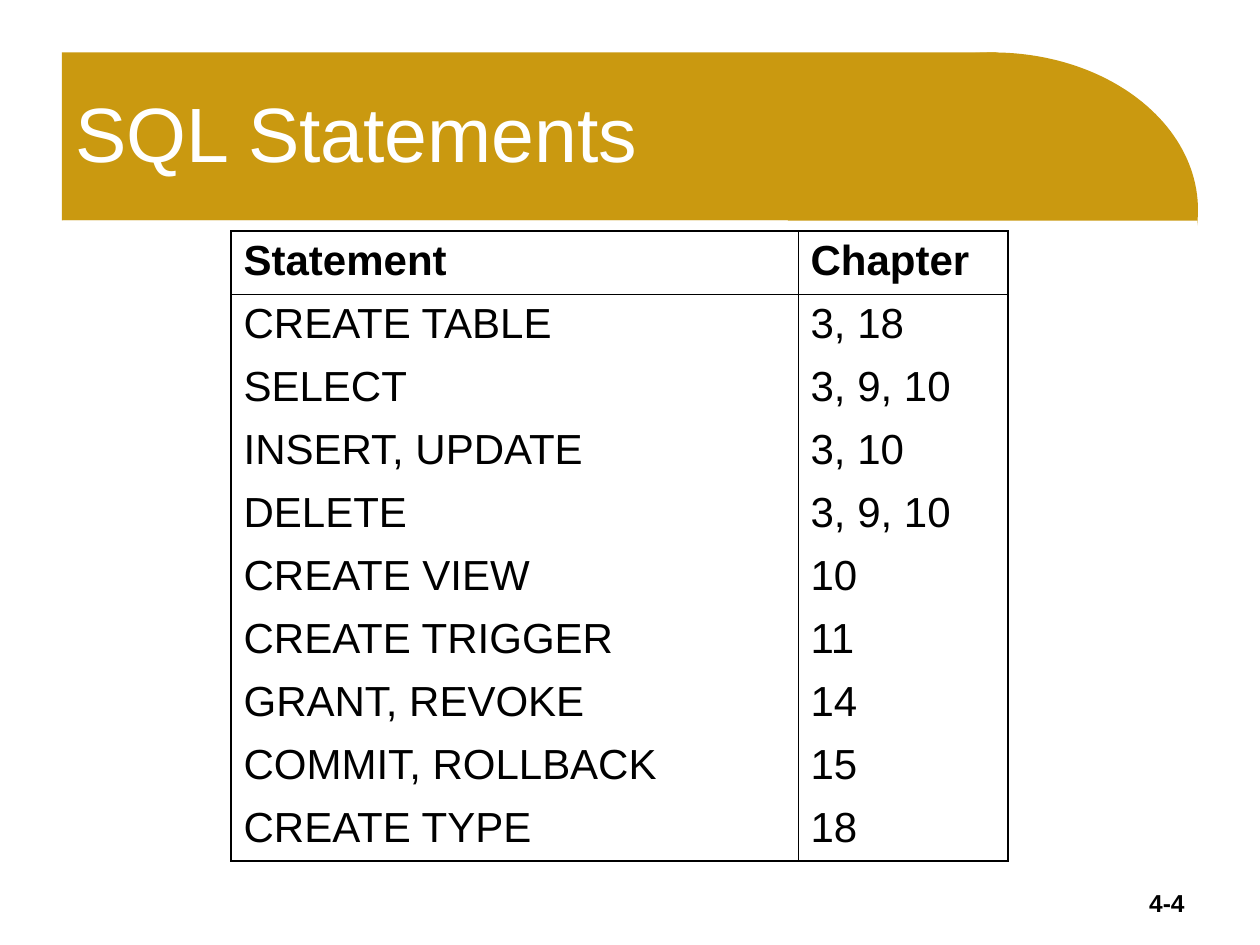
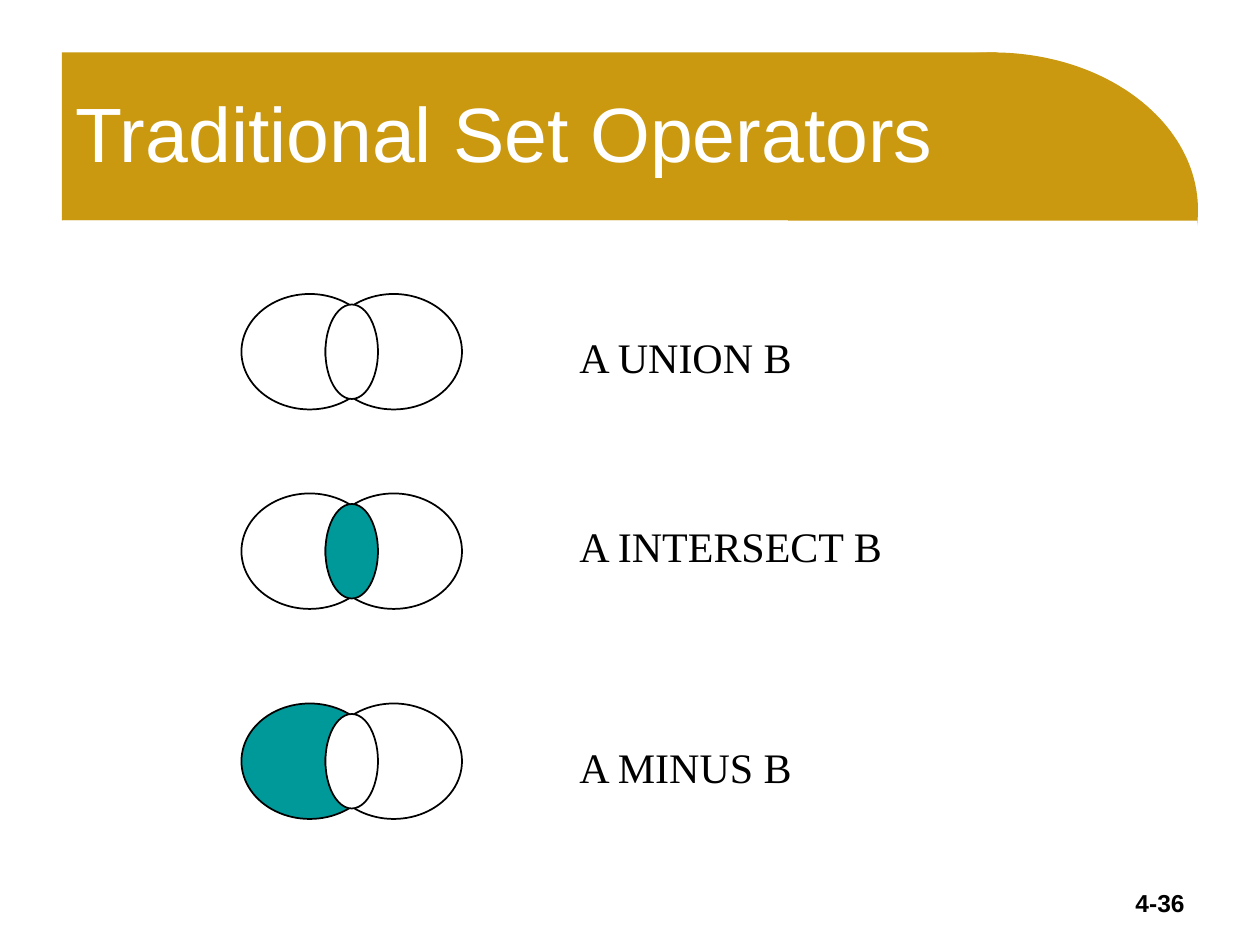
from dataclasses import dataclass

from lxml.etree import SubElement
from pptx import Presentation
from pptx.dml.color import RGBColor
from pptx.enum.shapes import MSO_SHAPE
from pptx.enum.text import MSO_ANCHOR, MSO_AUTO_SIZE, PP_ALIGN
from pptx.oxml.ns import qn
from pptx.util import Emu, Inches, Pt

COLORS = {"gold": "CA9910", "teal": "009999", "white": "FFFFFF", "black": "000000"}
SANS, SERIF = "Arial", "Times New Roman"
UNIT = Inches(1) // 12  # the slide is a grid of 120 columns by 90 rows
OUTER, INNER = 1.08, 0.45  # table border widths in points


@dataclass(frozen=True)
class Box:
    """A place on the grid, in columns and rows."""
    col: float
    row: float
    width: float
    height: float

    def emu(self) -> tuple:
        return tuple(Emu(round(n * UNIT))
                     for n in (self.col, self.row, self.width, self.height))


@dataclass(frozen=True)
class TextStyle:
    size: float
    font: str = SANS
    color: str = "black"
    bold: bool = False


@dataclass(frozen=True)
class SetOperator:
    label: str
    row: int
    label_row: int
    label_width: int
    left: str = "white"
    overlap: str = "white"


TITLE = TextStyle(44, color="white")
PAGE = TextStyle(14, bold=True)
HEADER = TextStyle(24, bold=True)
CELL = TextStyle(24)
LABEL = TextStyle(24, SERIF)

STATEMENTS = [
    ("Statement", "Chapter"),
    ("CREATE TABLE", "3, 18"),
    ("SELECT", "3, 9, 10"),
    ("INSERT, UPDATE", "3, 10"),
    ("DELETE", "3, 9, 10"),
    ("CREATE VIEW", "10"),
    ("CREATE TRIGGER", "11"),
    ("GRANT, REVOKE", "14"),
    ("COMMIT, ROLLBACK", "15"),
    ("CREATE TYPE", "18"),
]

OPERATORS = [
    SetOperator("A UNION B", 28, 31, 25),
    SetOperator("A INTERSECT B", 47, 49, 33, overlap="teal"),
    SetOperator("A MINUS B", 67, 70, 25, left="teal"),
]


def rgb(name: str) -> RGBColor:
    return RGBColor.from_string(COLORS[name])


def write(tf, text: str, style: TextStyle, align=PP_ALIGN.LEFT) -> None:
    p = tf.paragraphs[0]
    p.alignment = align
    r = p.add_run()
    r.text = text
    r.font.size = Pt(style.size)
    r.font.name = style.font
    r.font.bold = style.bold
    r.font.color.rgb = rgb(style.color)


def add_text(s, box: Box, text: str, style: TextStyle, align=PP_ALIGN.LEFT) -> None:
    tf = s.shapes.add_textbox(*box.emu()).text_frame
    tf.word_wrap = True
    tf.auto_size = MSO_AUTO_SIZE.SHAPE_TO_FIT_TEXT
    write(tf, text, style, align)


def add_filled(s, kind, box: Box, fill: str, outlined: bool = False) -> None:
    sp = s.shapes.add_shape(kind, *box.emu())
    sp.shadow.inherit = False
    sp.fill.solid()
    sp.fill.fore_color.rgb = rgb(fill)
    if outlined:
        sp.line.color.rgb = rgb("black")
        sp.line.width = Pt(1)
    else:
        sp.line.fill.background()


def add_slide(prs, title: str, page: str):
    """Add a slide with the gold band, its title and the page number."""
    s = prs.slides.add_slide(prs.slide_layouts[5])
    add_filled(s, MSO_SHAPE.RECTANGLE, Box(5.9, 5, 89, 16), "gold")
    add_filled(s, MSO_SHAPE.OVAL, Box(75, 5, 39.1, 30), "gold")
    add_text(s, Box(85.8, 84, 28.2, 4.08), page, PAGE, PP_ALIGN.RIGHT)
    add_filled(s, MSO_SHAPE.RECTANGLE, Box(6, 21, 108, 62), "white")

    sp = s.shapes.title
    sp.left, sp.top, sp.width, sp.height = Box(6, 5, 105, 15).emu()
    tf = sp.text_frame
    tf.word_wrap = True
    tf.auto_size = MSO_AUTO_SIZE.NONE
    tf.vertical_anchor = MSO_ANCHOR.MIDDLE
    write(tf, title, TITLE)
    sp.element.getparent().append(sp.element)  # in front of the band
    return s


def set_borders(cell, left: float, right: float, top: float, bottom: float) -> None:
    """Set border widths in points; zero means no line."""
    tc_pr = cell._tc.get_or_add_tcPr()
    sides = {"lnL": left, "lnR": right, "lnT": top, "lnB": bottom}
    for i, (tag, width) in enumerate(sides.items()):
        ln = SubElement(tc_pr, qn(f"a:{tag}"), w=str(Pt(width)))
        if width:
            fill = SubElement(ln, qn("a:solidFill"))
            SubElement(fill, qn("a:srgbClr"), val=COLORS["black"])
        else:
            SubElement(ln, qn("a:noFill"))
        tc_pr.insert(i, ln)


def add_statement_table(s) -> None:
    last = len(STATEMENTS) - 1
    box = Box(22, 22, 74, 6 * len(STATEMENTS))
    table = s.shapes.add_table(len(STATEMENTS), 2, *box.emu()).table
    table.first_row = table.horz_banding = False
    for column, width in zip(table.columns, (54, 20)):
        column.width = Emu(width * UNIT)
    for i, row in enumerate(STATEMENTS):
        for j, text in enumerate(row):
            cell = table.cell(i, j)
            cell.fill.background()
            write(cell.text_frame, text, HEADER if i == 0 else CELL)
            set_borders(cell,
                        left=INNER if j else OUTER,
                        right=OUTER if j else INNER,
                        top={0: OUTER, 1: INNER}.get(i, 0),
                        bottom={0: INNER, last: OUTER}.get(i, 0))


def add_venn(s, op: SetOperator) -> None:
    circles = [
        (Box(23, op.row, 13, 11), op.left),
        (Box(31, op.row, 13, 11), "white"),
        (Box(31, op.row + 1, 5, 9), op.overlap),
    ]
    for box, fill in circles:
        add_filled(s, MSO_SHAPE.OVAL, box, fill, outlined=True)


def main() -> None:
    prs = Presentation()
    prs.slide_width, prs.slide_height = Emu(120 * UNIT), Emu(90 * UNIT)

    add_statement_table(add_slide(prs, "SQL Statements", "4-4"))

    s = add_slide(prs, "Traditional Set Operators", "4-36")
    for op in OPERATORS:
        add_text(s, Box(54, op.label_row, op.label_width, 6), op.label, LABEL)
        add_venn(s, op)

    prs.save("out.pptx")


if __name__ == "__main__":
    main()
